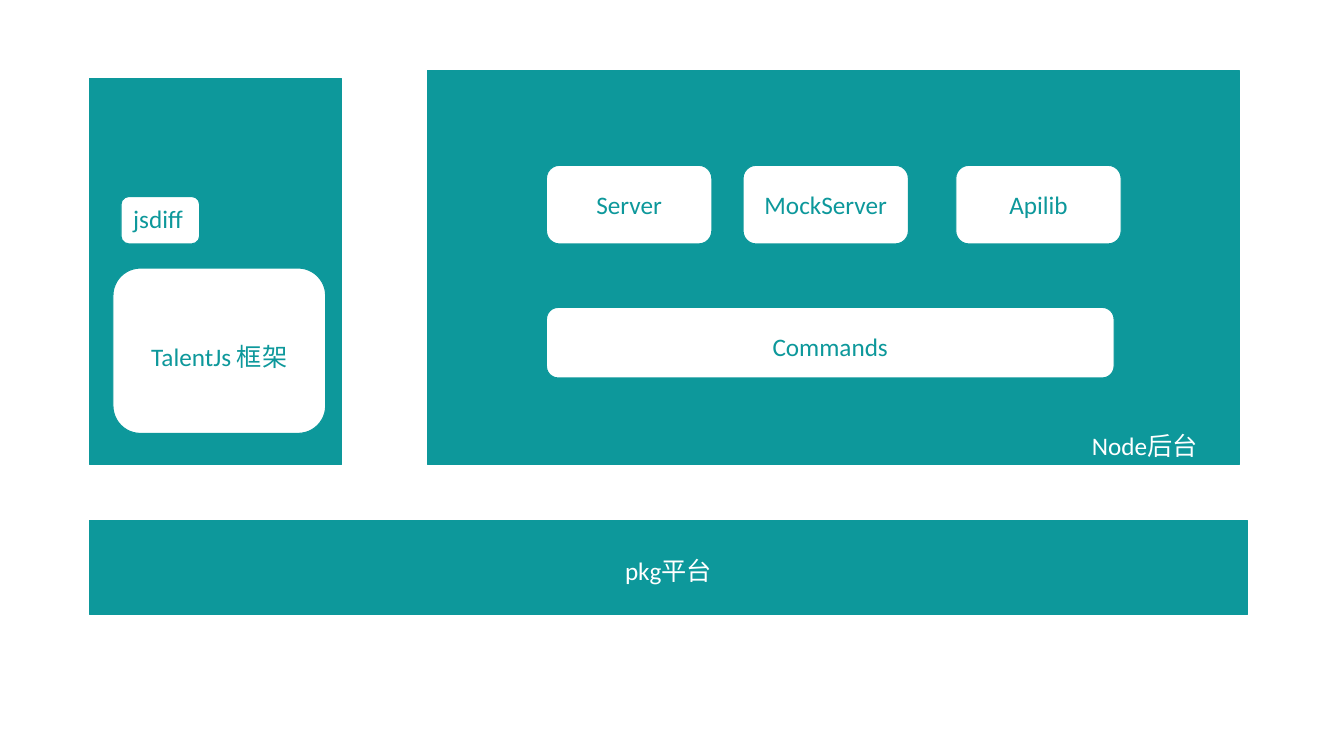
import pptx
import pptx.util
import pptx.dml.color
import pptx.enum.shapes
import pptx.enum.text

Inches = pptx.util.Inches
RECTANGLE = pptx.enum.shapes.MSO_SHAPE.RECTANGLE
ROUNDED = pptx.enum.shapes.MSO_SHAPE.ROUNDED_RECTANGLE
LEFT = pptx.enum.text.PP_ALIGN.LEFT
CENTER = pptx.enum.text.PP_ALIGN.CENTER

TEAL = pptx.dml.color.RGBColor(0x0D, 0x98, 0x9B)
WHITE = pptx.dml.color.RGBColor(0xFF, 0xFF, 0xFF)


def add_block(page, box, text="", kind=RECTANGLE, align=CENTER, spacing=1.0):
    """Teal rectangle with white text, or white rounded box with teal text."""
    fill, ink = (WHITE, TEAL) if kind == ROUNDED else (TEAL, WHITE)
    block = page.shapes.add_shape(kind, *(Inches(length) for length in box))
    block.shadow.inherit = False
    block.fill.solid()
    block.fill.fore_color.rgb = fill
    block.line.color.rgb = TEAL
    block.line.width = pptx.util.Pt(0.75)
    if text:
        frame = block.text_frame
        frame.word_wrap = True
        frame.vertical_anchor = pptx.enum.text.MSO_ANCHOR.TOP
        para = frame.paragraphs[0]
        para.text = text
        para.alignment = align
        para.line_spacing = spacing
        para.font.name = "Calibri"
        para.font.size = pptx.util.Pt(18)
        para.font.color.rgb = ink


def add_front_end(page, box):
    left, top, width, height = box
    add_block(page, box)
    add_block(page, (left + 0.23, top + 1.88, 2.11, 1.64),
              "TalentJs 框架", ROUNDED, spacing=3.0)
    add_block(page, (left + 0.31, top + 1.17, 0.78, 0.47),
              "jsdiff", ROUNDED, LEFT)


def add_back_end(page, box):
    left, top, width, height = box
    add_block(page, box)

    # Services above the shared command layer
    services = (("Server", 1.18), ("MockServer", 3.13), ("Apilib", 5.24))
    for name, offset in services:
        add_block(page, (left + offset, top + 0.94, 1.64, 0.78),
                  name, ROUNDED, spacing=1.5)
    add_block(page, (left + 1.18, top + 2.35, 5.63, 0.7),
              "Commands", ROUNDED, spacing=1.5)

    # Region label on the bottom edge
    label_height = 0.39
    add_block(page, (left + 6.49, top + height - label_height, 1.41, label_height),
              "Node后台", align=LEFT)


def add_platform(page, box):
    add_block(page, box, "pkg平台", spacing=2.0)


def main():
    deck = pptx.Presentation()
    deck.slide_width = Inches(13.33)
    deck.slide_height = Inches(7.5)
    page = deck.slides.add_slide(deck.slide_layouts[6])

    add_front_end(page, (0.89, 0.78, 2.5, 3.83))
    add_back_end(page, (4.24, 0.7, 8.05, 3.91))
    add_platform(page, (0.89, 5.16, 11.48, 0.94))

    deck.save("out.pptx")


if __name__ == "__main__":
    main()
